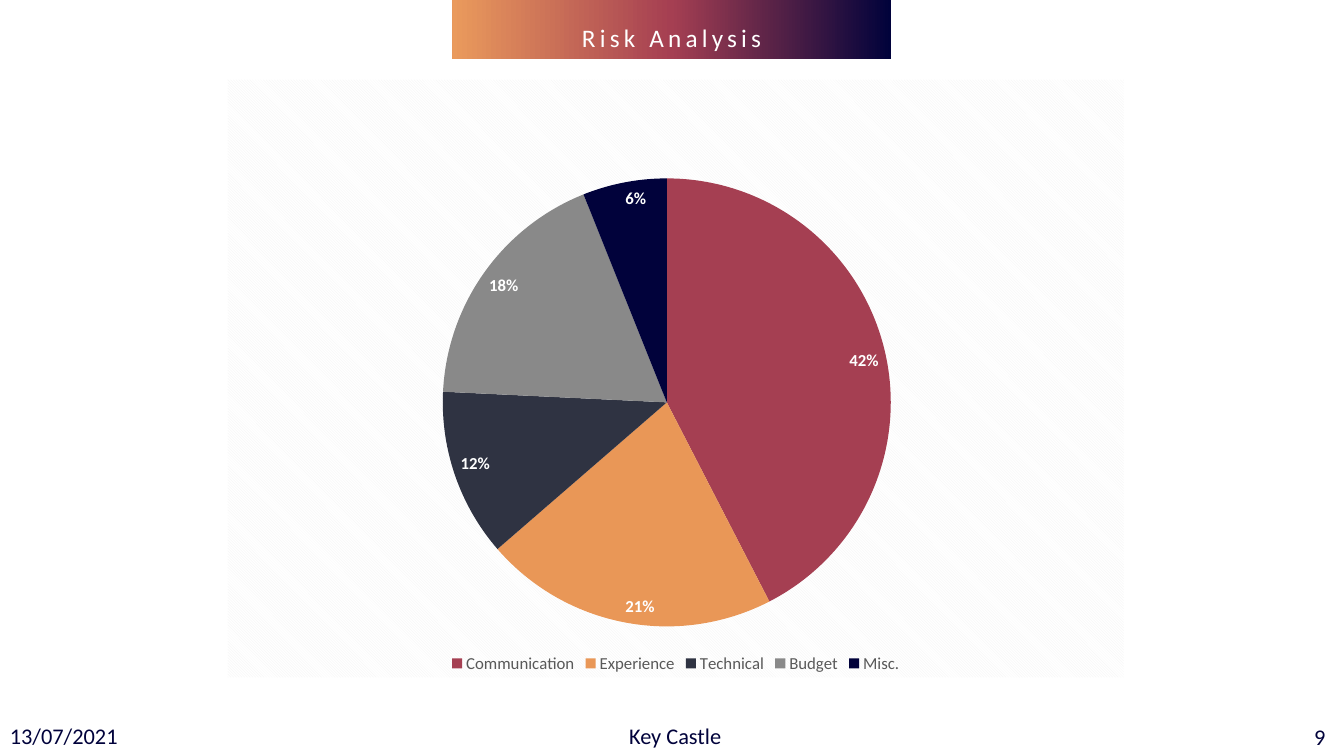
import pptx
import pptx.chart.data
import pptx.dml.color
import pptx.enum.chart
import pptx.enum.text
import pptx.oxml
import pptx.oxml.ns
import pptx.util
from pptx.util import Cm, Pt

FONT = "Calibri"
NAVY, RED, ORANGE = "01023B", "A53F52", "E99757"
SLATE, GREY, WHITE = "2F3342", "898989", "FFFFFF"
RISKS = [
    ("Communication", 42, RED),
    ("Experience", 21, ORANGE),
    ("Technical", 12, SLATE),
    ("Budget", 18, GREY),
    ("Misc.", 6, NAVY),
]
ALIGN = pptx.enum.text.PP_ALIGN
ANCHOR = pptx.enum.text.MSO_ANCHOR


def rgb(value):
    return pptx.dml.color.RGBColor.from_string(value)


def set_font(font, size, color, bold=False):
    font.name, font.size, font.bold = FONT, Pt(size), bold
    font.color.rgb = rgb(color)


def xml(tag, body, attrs=""):
    ns = pptx.oxml.ns.nsdecls("a", "c")
    return pptx.oxml.parse_xml(f"<{tag} {ns} {attrs}>{body}</{tag}>")


def color_xml(value):
    return f'<a:srgbClr val="{value}"/>'


def gradient(s, colors, angle):
    """Fill a shape with evenly spaced colour stops."""
    s.fill.gradient()
    s.fill.gradient_angle = angle
    stops = s.fill.gradient_stops
    step = 100000 // (len(colors) - 1)
    body = "".join(f'<a:gs pos="{i * step}">{color_xml(c)}</a:gs>'
                   for i, c in enumerate(colors))
    old = s._element.spPr.find(".//" + pptx.oxml.ns.qn("a:gsLst"))
    old.getparent().replace(old, xml("a:gsLst", body))


def add_title(slide, text):
    s = slide.shapes.title
    s.left, s.top, s.width, s.height = Cm(11.4), Cm(0), Cm(11.05), Cm(1.5)
    gradient(s, [NAVY, RED, "EA9A5C"], 180)
    tf = s.text_frame
    tf.text = text
    tf.auto_size = pptx.enum.text.MSO_AUTO_SIZE.NONE
    tf.vertical_anchor = ANCHOR.MIDDLE
    p = tf.paragraphs[0]
    p.alignment, p.line_spacing, p.space_before = ALIGN.CENTER, 1.5, Pt(10)
    set_font(p.font, 18, WHITE)
    p.runs[0].font._element.set("spc", "300")


def add_text(slide, text, left, top, width, align, anchor):
    s = slide.shapes.add_textbox(Cm(left), Cm(top), Cm(width), Cm(1.02))
    tf = s.text_frame
    tf.text = text
    tf.word_wrap = True
    tf.vertical_anchor = anchor
    p = tf.paragraphs[0]
    p.alignment = align
    set_font(p.font, 16, NAVY)


def style_background(chart):
    """Give the chart area a pale diagonal pattern without an outline."""
    body = (f"<a:pattFill prst=\"dkDnDiag\"><a:fgClr>{color_xml('F2F2F2')}</a:fgClr>"
            f"<a:bgClr>{color_xml(WHITE)}</a:bgClr></a:pattFill>"
            "<a:ln><a:noFill/></a:ln>")
    root = chart._chartSpace
    root.find(pptx.oxml.ns.qn("c:chart")).addnext(xml("c:spPr", body))


def place_plot(chart, **box):
    """Set the inner plot area as fractions of the chart."""
    body = '<c:layoutTarget val="inner"/><c:xMode val="edge"/><c:yMode val="edge"/>'
    body += "".join(f'<c:{k} val="{v}"/>' for k, v in box.items())
    plot_area = chart._chartSpace.find(".//" + pptx.oxml.ns.qn("c:plotArea"))
    for old in plot_area.findall(pptx.oxml.ns.qn("c:layout")):
        plot_area.remove(old)
    plot_area.insert(0, xml("c:layout", f"<c:manualLayout>{body}</c:manualLayout>"))


def add_pie(slide, risks):
    data = pptx.chart.data.CategoryChartData()
    data.categories = [name for name, _, _ in risks]
    data.add_series("Series 1", [value for _, value, _ in risks])
    chart = slide.shapes.add_chart(
        pptx.enum.chart.XL_CHART_TYPE.PIE,
        Cm(5.74), Cm(2.01), Cm(22.58), Cm(15.06), data).chart
    chart.has_title = False
    set_font(chart.font, 10, WHITE)
    style_background(chart)
    place_plot(chart, x=0.24, y=0.16, w=0.5, h=0.76)

    # Legend
    chart.has_legend = True
    chart.legend.position = pptx.enum.chart.XL_LEGEND_POSITION.BOTTOM
    chart.legend.include_in_layout = False
    set_font(chart.legend.font, 12, "595959")

    # Slices
    plot = chart.plots[0]
    plot.vary_by_categories = True
    for i, (_, _, color) in enumerate(risks):
        fill = plot.series[0].points[i].format.fill
        fill.solid()
        fill.fore_color.rgb = rgb(color)

    # Percentages
    labels = plot.series[0].data_labels
    labels.show_value, labels.show_percentage = False, True
    labels.number_format, labels.number_format_is_linked = "0%", False
    labels.position = pptx.enum.chart.XL_LABEL_POSITION.INSIDE_END
    set_font(labels.font, 12, WHITE, bold=True)


def main():
    prs = pptx.Presentation()
    prs.slide_width, prs.slide_height = Cm(33.87), Cm(19.05)
    slide = prs.slides.add_slide(prs.slide_layouts[5])

    add_title(slide, "Risk Analysis")
    add_pie(slide, RISKS)

    # Footer
    add_text(slide, "Key Castle", 13.46, 18.03, 7.11, ALIGN.CENTER, ANCHOR.MIDDLE)
    add_text(slide, "9", 32.64, 18.06, 1.24, ALIGN.CENTER, ANCHOR.MIDDLE)
    add_text(slide, "13/07/2021", 0, 18.06, 3.63, ALIGN.LEFT, ANCHOR.TOP)

    prs.save("out.pptx")


if __name__ == "__main__":
    main()
